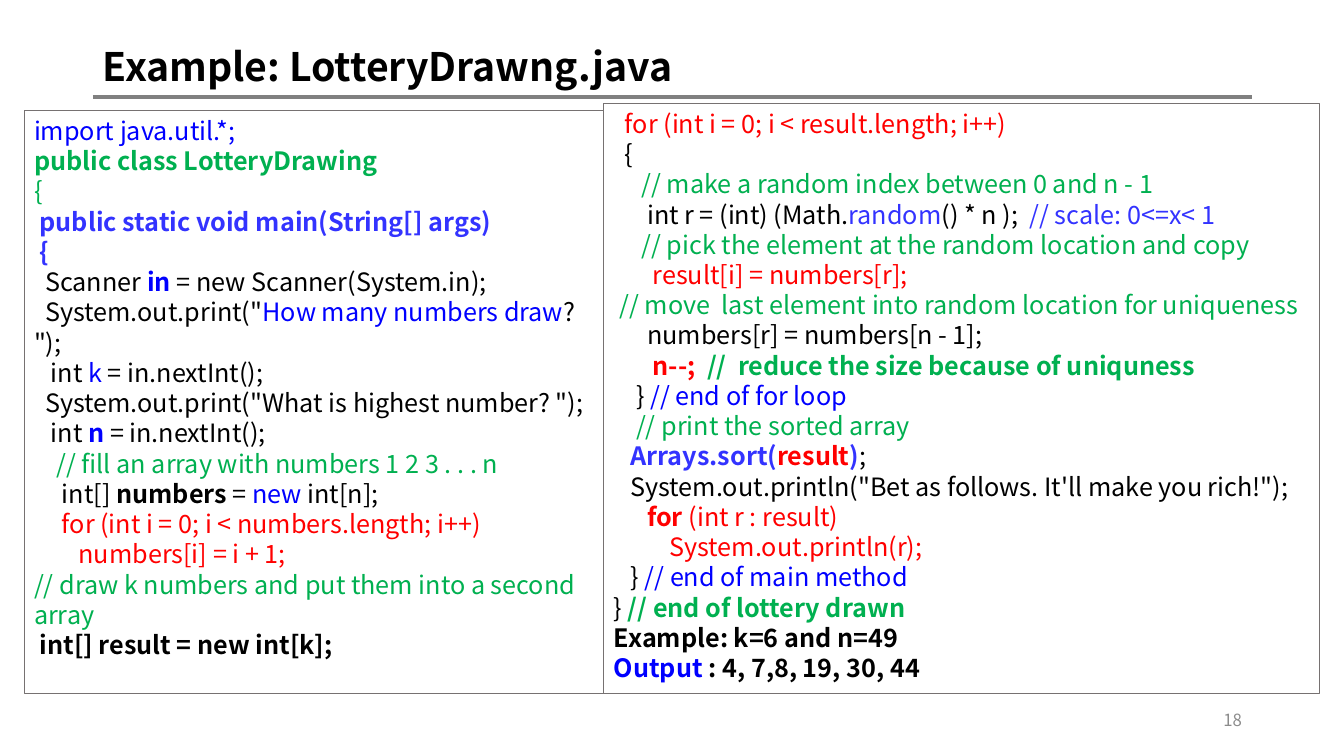
from lxml import etree
from pptx import Presentation
from pptx import util as u
from pptx.dml.color import RGBColor
from pptx.enum import shapes, text
from pptx.oxml import ns

BLACK = RGBColor(0x00, 0x00, 0x00)
BLUE = RGBColor(0x00, 0x00, 0xFF)
VIOLET = RGBColor(0x33, 0x33, 0xFF)
GREEN = RGBColor(0x00, 0xB0, 0x50)
RED = RGBColor(0xFF, 0x00, 0x00)
GREY = RGBColor(0x8C, 0x8C, 0x8C)
BORDER = RGBColor(0x76, 0x71, 0x71)
RULE = RGBColor(0x80, 0x80, 0x80)

# Each run of code starts with its colour letter; a capital means bold.
COLOURS = {"k": BLACK, "b": BLUE, "v": VIOLET, "g": GREEN, "r": RED}

# A code line is its indent in columns and its runs, separated by bars.
SETUP_CODE = [
    (0, "bimport java.util.*;"),
    (0, "Gpublic class LotteryDrawing"),
    (0, "g{"),
    (1, "Vpublic static void main(String[] args)"),
    (1, "V{"),
    (2, "kScanner |Bin|k = new Scanner(System.in);"),
    (2, 'kSystem.out.print("|bHow many numbers draw|k? ");'),
    (3, "kint |bk|k = in.nextInt();"),
    (2, 'kSystem.out.print("What is highest number? ");'),
    (3, "kint |Bn|k = in.nextInt();"),
    (4, "g// fill an array with numbers 1 2 3 . . . n"),
    (5, "kint[] |Knumbers|k = |bnew|k int[n];"),
    (5, "rfor (int i = 0; i < numbers.length; i++)"),
    (8, "rnumbers[i] = i + 1;"),
    (0, "g// draw k numbers and put them into a second array"),
    (1, "Kint[] result = new int[k];"),
]
DRAW_CODE = [
    (2, "rfor (int i = 0; i < result.length; i++)"),
    (2, "k{"),
    (5, "g// make a random index between 0 and n - 1"),
    (6, "kint r = (int) (Math.|vrandom|k() * n );  |v// scale: 0<=x< 1"),
    (5, "g// pick the element at the random location and copy"),
    (7, "rresult[i] = numbers[r];"),
    (1, "g// move  last element into random location for uniqueness"),
    (6, "knumbers[r] = numbers[n - 1];"),
    (7, "Rn--;  |G//  reduce the size because of uniquness"),
    (4, "k} |b// end of for loop"),
    (4, "g// print the sorted array"),
    (3, "VArrays.sort(|Rresult|V)|k;"),
    (3, 'kSystem.out.println("Bet as follows. It\'ll make you rich!");'),
    (6, "Rfor|r (int r : result)"),
    (10, "rSystem.out.println(r);"),
    (3, "k} |b// end of main method"),
    (0, "k} |G// end of lottery drawn"),
    (0, "KExample: k=6 and n=49"),
    (0, "BOutput |K: 4, 7,8, 19, 30, 44"),
]


class SlideWriter:
    """Holds the style and the current slide."""

    font = "Noto Sans CJK KR"
    code_size = u.Pt(18)
    code_pitch = u.Pt(21.6)
    column = u.Cm(0.14)

    def __init__(self, slide):
        """Keep the slide to draw on."""
        self.shapes = slide.shapes

    def style(self, r, size, colour, bold=False):
        """Format one run."""
        r.font.name = self.font
        r.font.size = size
        r.font.bold = bold
        r.font.color.rgb = colour

    def label(self, box, words, size, colour, bold=False,
              align=text.PP_ALIGN.LEFT):
        """Add one line of text, centred vertically in its box."""
        tf = self.shapes.add_textbox(*map(u.Cm, box)).text_frame
        tf.word_wrap = True
        tf.vertical_anchor = text.MSO_ANCHOR.MIDDLE
        tf.text = words
        p = tf.paragraphs[0]
        p.alignment = align
        p.line_spacing = 0.9
        self.style(p.runs[0], size, colour, bold)

    def rule(self, left, right, y):
        """Add a horizontal line."""
        sp = self.shapes.add_connector(
            shapes.MSO_CONNECTOR.STRAIGHT,
            u.Cm(left), u.Cm(y), u.Cm(right), u.Cm(y))
        sp.line.color.rgb = RULE
        sp.line.width = u.Pt(3)
        etree.SubElement(sp._element.spPr, ns.qn("a:effectLst"))

    def code_panel(self, box, lines):
        """Add a bordered panel of coloured code."""
        sp = self.shapes.add_shape(
            shapes.MSO_SHAPE.RECTANGLE, *map(u.Cm, box))
        sp.shadow.inherit = False
        sp.fill.background()
        sp.line.color.rgb = BORDER
        sp.line.width = u.Pt(0.75)
        tf = sp.text_frame
        tf.word_wrap = True
        tf.vertical_anchor = text.MSO_ANCHOR.TOP
        for i, (columns, runs) in enumerate(lines):
            p = tf.add_paragraph() if i else tf.paragraphs[0]
            self.code_line(p, columns, runs)

    def code_line(self, p, columns, runs):
        """Fill a paragraph; only its first line is indented."""
        p.alignment = text.PP_ALIGN.LEFT
        p.line_spacing = self.code_pitch
        p._p.get_or_add_pPr().set("indent", str(columns * self.column))
        for piece in runs.split("|"):
            key, words = piece[0], piece[1:]
            r = p.add_run()
            r.text = words
            self.style(r, self.code_size, COLOURS[key.lower()], key.isupper())


def main():
    """Build and save the slide."""
    prs = Presentation()
    prs.slide_width, prs.slide_height = u.Cm(33.87), u.Cm(19.05)
    s = SlideWriter(prs.slides.add_slide(prs.slide_layouts[6]))
    s.rule(2.34, 31.55, 2.45)
    s.label((2.34, 1.02, 29.21, 1.42), "Example: LotteryDrawng.java",
            u.Pt(28), BLACK, bold=True)
    s.label((23.93, 17.65, 7.62, 1.02), "18", u.Pt(12), GREY,
            align=text.PP_ALIGN.RIGHT)
    s.code_panel((0.61, 2.78, 14.61, 14.7), SETUP_CODE)
    s.code_panel((15.22, 2.6, 18.03, 14.88), DRAW_CODE)
    prs.save("out.pptx")


main()
